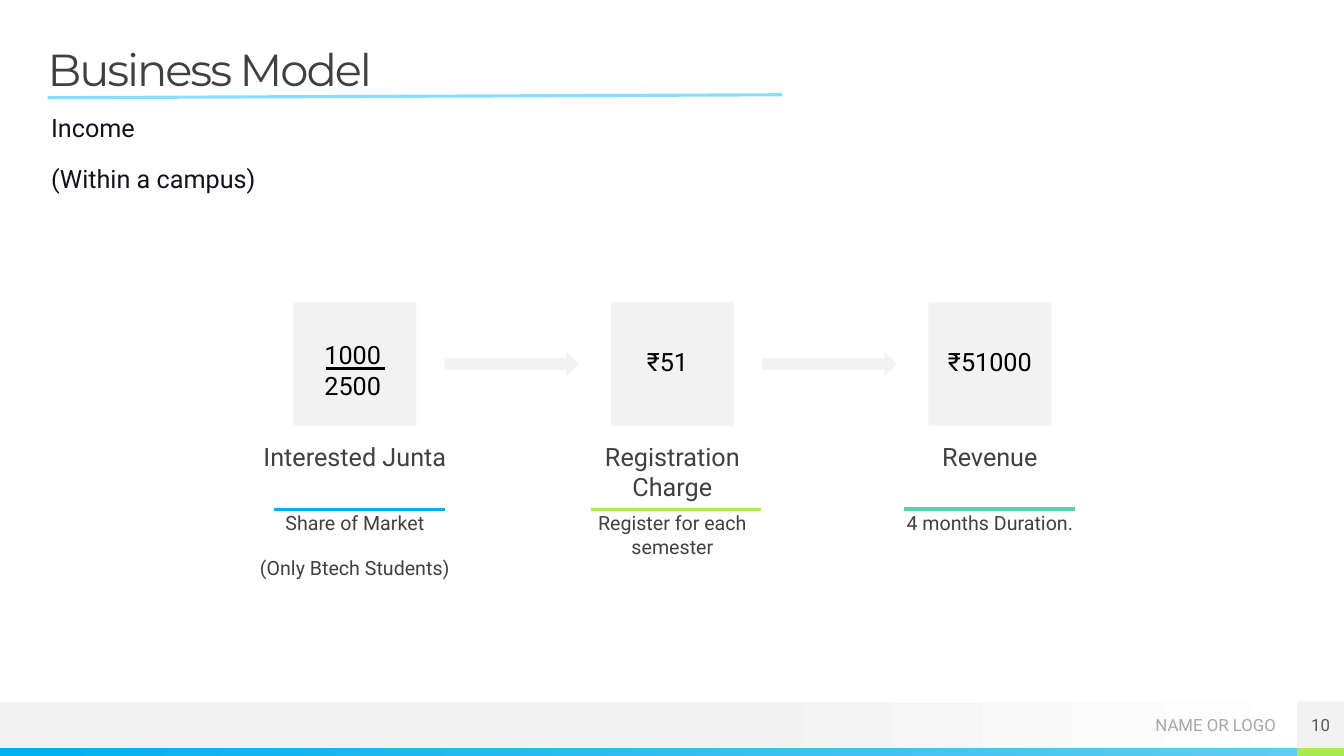
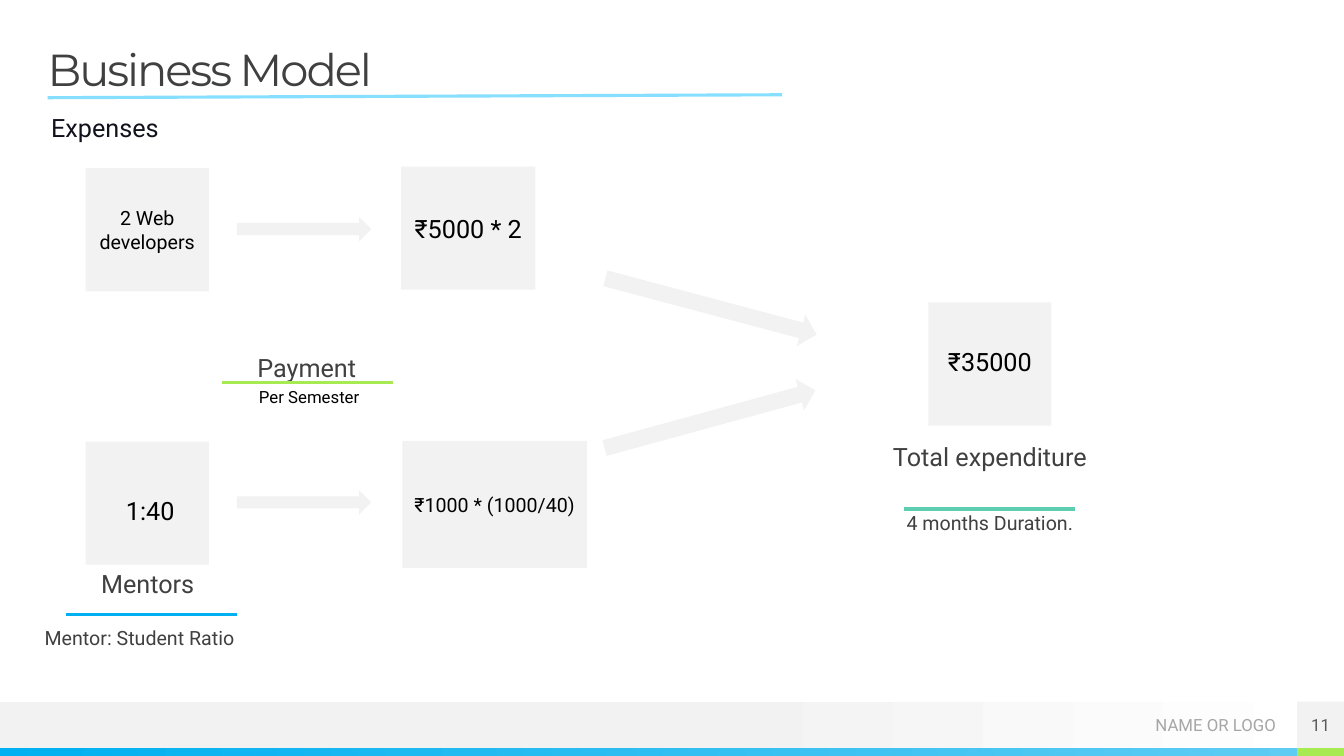
from pptx import Presentation
from pptx.dml.color import RGBColor
from pptx.enum.shapes import MSO_CONNECTOR, MSO_SHAPE
from pptx.enum.text import MSO_ANCHOR, PP_ALIGN
from pptx.oxml.ns import qn
from pptx.util import Pt
from lxml.etree import SubElement

HUES = {
    "pale": "F2F2F2", "white": "FFFFFF", "blue": "00B0F0", "sky": "5ECCF3",
    "ice": "86DFFF", "lime": "A7EA52", "teal": "5DCEAF", "black": "000000",
    "ink": "12121E", "dark": "404040", "mid": "595959", "grey": "A6A6A6",
}
LEFT, MID, RIGHT = PP_ALIGN.LEFT, PP_ALIGN.CENTER, PP_ALIGN.RIGHT
SIDE = 88      # square box
STEP = 226.8   # column pitch
COLS = [209.5 + STEP * i for i in range(3)]
TOP = 216      # top of the main row
WIDE = 122     # coloured rule


def hue(name):
    return RGBColor.from_string(HUES[name])


class Deck:
    """Holds the style and the current slide."""

    def __init__(self):
        self.prs = Presentation()
        self.prs.slide_width, self.prs.slide_height = Pt(960), Pt(540)
        self.slide = None

    # Shared frame: title, rule and footer bands
    def page(self, title, num, lines):
        self.slide = self.prs.slides.add_slide(self.prs.slide_layouts[6])
        self.fade(0, 501.1, 960, 33.2, ("pale", 0.53), ("white", 1))
        self.fade(0, 534.3, 926.6, 5.7, ("blue", 0), ("sky", 1))
        self.box(926.6, 534.3, 33.4, 5.7, color="lime")
        self.box(926.6, 501.1, 33.4, 33.2, num, 12, ink="mid")
        foot = self.text(750, 501, 161.5, 34, ["NAME OR LOGO"], 12, "grey", RIGHT)
        foot.vertical_anchor = MSO_ANCHOR.MIDDLE
        head = self.text(34, 34, 893, 34, [title], 32, "dark", LEFT, face="Montserrat")
        para = head.paragraphs[0]
        para.line_spacing = 0.9
        para.runs[0].font._element.set("spc", "-150")
        self.line(34, 69.8, 558.7, 67.7, "ice")
        self.text(36.5, 80, 893, 28, lines, 18, "ink", LEFT, gap=True)

    # Text
    def put(self, frame, lines, size, ink, align, gap=False, face="Roboto"):
        frame.word_wrap = True
        for i, words in enumerate(lines):
            para = frame.add_paragraph() if i else frame.paragraphs[0]
            para.alignment = align
            if gap:
                para.space_after = Pt(5)
                if i:
                    para.space_before = Pt(10)
            run = para.add_run()
            run.text = words
            run.font.name, run.font.size = face, Pt(size)
            run.font.color.rgb = hue(ink)

    def pad(self, frame, size):
        frame.margin_left = frame.margin_right = Pt(size)
        frame.margin_top = frame.margin_bottom = Pt(size)

    def text(self, x, y, w, h, lines, size, ink, align=MID, gap=False, face="Roboto"):
        frame = self.slide.shapes.add_textbox(Pt(x), Pt(y), Pt(w), Pt(h)).text_frame
        self.pad(frame, 0)
        self.put(frame, lines, size, ink, align, gap, face)
        return frame

    def label(self, mid, y, lines, size=18, ink="dark", gap=True):
        wide = 152
        self.text(mid - wide / 2, y, wide, 28, lines, size, ink, gap=gap)

    # Shapes
    def shape(self, kind, x, y, w, h):
        item = self.slide.shapes.add_shape(kind, Pt(x), Pt(y), Pt(w), Pt(h))
        item.shadow.inherit = False
        item.line.fill.background()
        return item

    def box(self, x, y, w=SIDE, h=SIDE, words=None, size=18, color="pale", ink="black"):
        item = self.shape(MSO_SHAPE.RECTANGLE, x, y, w, h)
        item.fill.solid()
        item.fill.fore_color.rgb = hue(color)
        if words:
            frame = item.text_frame
            self.pad(frame, 4)
            frame.vertical_anchor = MSO_ANCHOR.MIDDLE
            self.put(frame, [words], size, ink, MID)

    def fade(self, x, y, w, h, *stops):
        fill = self.shape(MSO_SHAPE.RECTANGLE, x, y, w, h).fill
        fill.gradient()
        fill.gradient_angle = 0
        for stop, (name, place) in zip(fill.gradient_stops, stops):
            stop.color.rgb = hue(name)
            stop.position = place

    def arrow(self, x, y, w=96, h=17.3, turn=0):
        item = self.shape(MSO_SHAPE.RIGHT_ARROW, x, y, w, h)
        item.fill.solid()
        item.fill.fore_color.rgb = hue("pale")
        item.rotation = turn

    def line(self, x, y, to_x, to_y, color, width=2.25):
        item = self.slide.shapes.add_connector(
            MSO_CONNECTOR.STRAIGHT, Pt(x), Pt(y), Pt(to_x), Pt(to_y))
        item.line.color.rgb = hue(color)
        item.line.width = Pt(width)
        SubElement(item._element.spPr, qn("a:effectLst"))

    def rule(self, x, y, color):
        self.line(x, y, x + WIDE, y, color)

    # Square with a name, a rule and details below
    def stage(self, x, name, notes, shift, color, y=364.2):
        self.box(x, TOP)
        self.label(x + SIDE / 2, 315.4, [name])
        self.rule(x - shift, y, color)
        self.label(x + SIDE / 2, 365, notes, 14)

    def total(self, name, value):
        self.stage(COLS[2], name, ["4 months Duration."], 17.3, "teal", 363.6)
        self.label(COLS[2] + SIDE / 2, 247.7, [value], ink="black")


def main():
    deck = Deck()

    # Income
    deck.page("Business Model", "10", ["Income", "(Within a campus)"])
    deck.stage(COLS[0], "Interested Junta",
               ["Share of Market", "(Only Btech Students)"], 13.7, "blue")
    deck.stage(COLS[1], "Registration Charge",
               ["Register for each semester"], 14.4, "lime")
    deck.total("Revenue", "₹51000")
    for x in COLS[:2]:
        deck.arrow(x + 108, 251.3)
    deck.label(252, 242.6, ["1000", "2500"], ink="black", gap=False)
    deck.line(232.6, 263.3, 275, 263.3, "black", 2)
    deck.label(476.8, 247.7, ["₹51"], ink="black")

    # Expenses: developers
    deck.page("Business Model", "11", ["Expenses"])
    deck.box(61.2, 120.2, words="2 Web developers", size=14)
    deck.arrow(169.2, 155)
    deck.box(286.6, 119, 95.8, SIDE, "₹5000 * 2")

    # Payment note
    deck.label(219.2, 252, ["Payment"])
    deck.rule(158.4, 273, "lime")
    deck.text(185, 276.5, 80, 16, ["Per Semester"], 12, "black", LEFT)

    # Expenses: mentors
    deck.box(61.2, 315.4)
    deck.label(107.3, 353.5, ["1:40"], ink="black")
    deck.arrow(169.2, 350.2)
    deck.box(287.5, 315, 131.8, 90.7, "₹1000 * (1000/40)", 14)
    deck.label(105.5, 406, ["Mentors"])
    deck.rule(47.4, 439.2, "blue")
    deck.label(99.7, 447, ["Mentor: Student Ratio"], 14)

    # Both lead to the total
    deck.arrow(429.8, 207.4, 156.2, 23, 14.9)
    deck.arrow(429.1, 288, 156.2, 23, 344.7)
    deck.total("Total expenditure", "₹35000")

    deck.prs.save("out.pptx")


if __name__ == "__main__":
    main()
